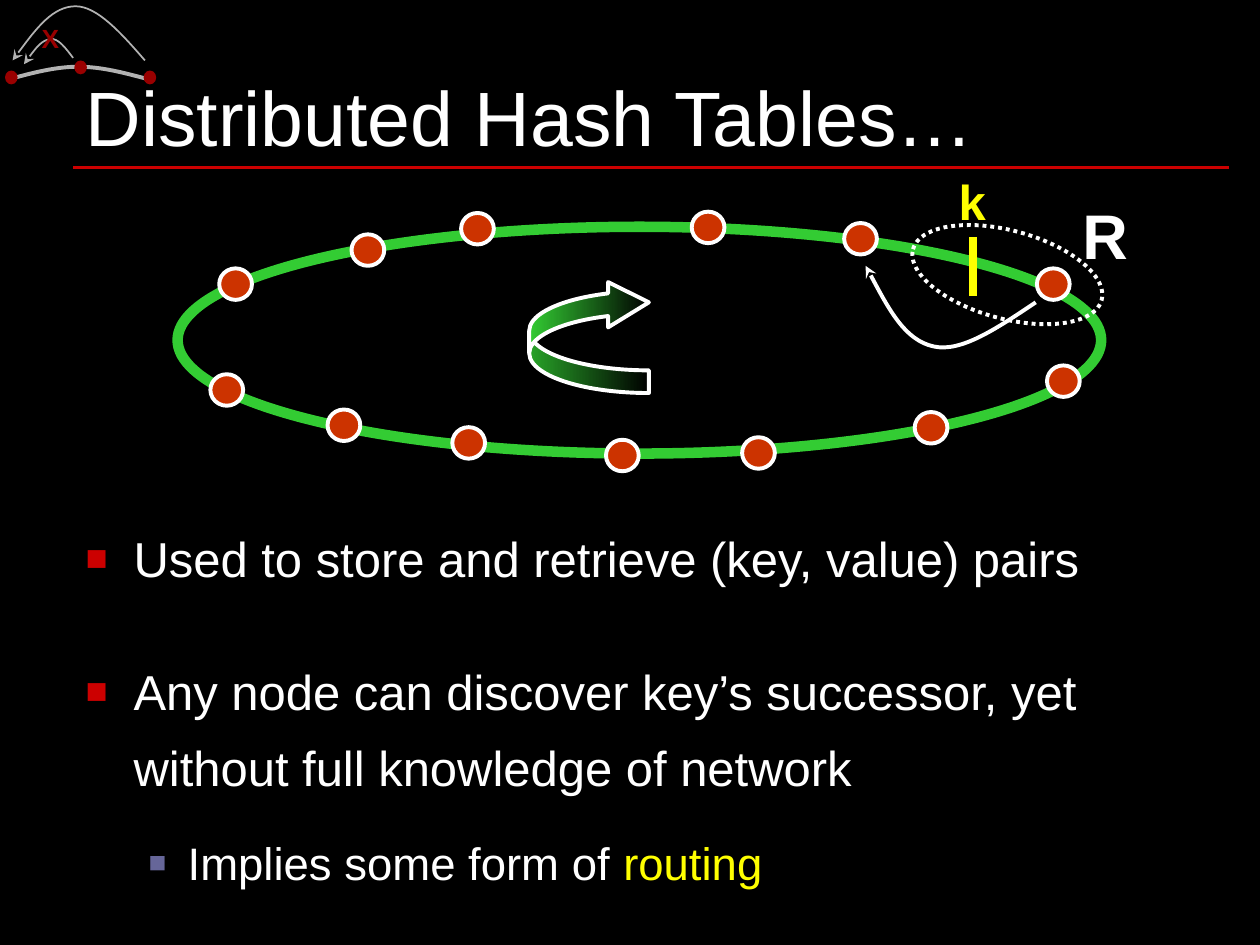
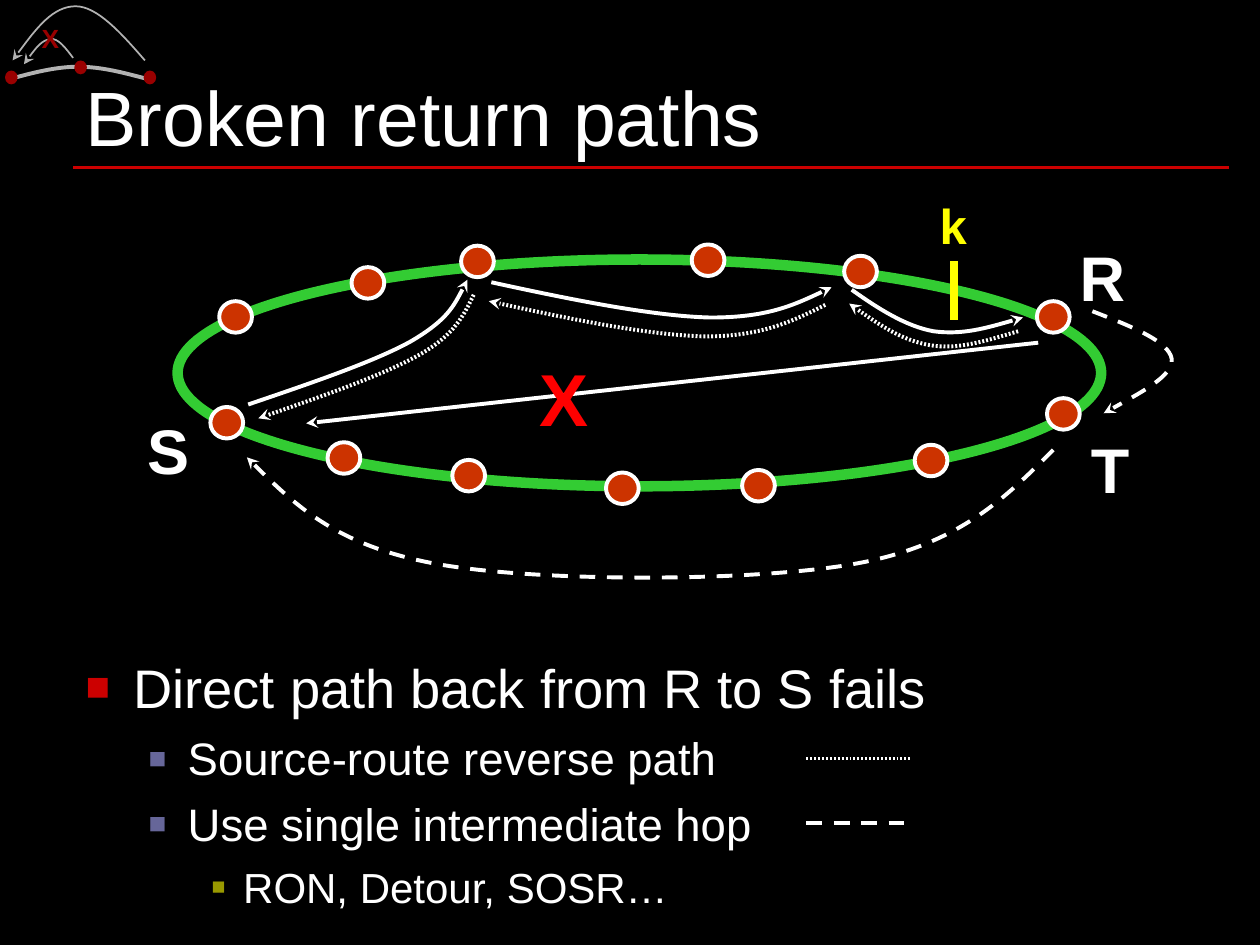
from dataclasses import dataclass
from typing import Any, Optional

from lxml import etree
from pptx import Presentation
from pptx.dml.color import RGBColor
from pptx.enum.dml import MSO_LINE
from pptx.enum.shapes import MSO_CONNECTOR, MSO_SHAPE
from pptx.enum.text import MSO_ANCHOR, MSO_AUTO_SIZE, PP_ALIGN
from pptx.oxml.ns import qn
from pptx.util import Inches, Pt

OVAL, ARROW = MSO_SHAPE.OVAL, MSO_SHAPE.CURVED_RIGHT_ARROW
STRAIGHT = MSO_CONNECTOR.STRAIGHT
DOT, DASH = MSO_LINE.ROUND_DOT, MSO_LINE.DASH
FINE = "fine"
LEFT, CENTER = PP_ALIGN.LEFT, PP_ALIGN.CENTER
BOTTOM = MSO_ANCHOR.BOTTOM
FIXED, GROW = MSO_AUTO_SIZE.NONE, MSO_AUTO_SIZE.SHAPE_TO_FIT_TEXT

Point = tuple[float, float]
Box = tuple[float, float, float, float]


@dataclass(frozen=True)
class Theme:
    font: str = "Arial"
    black: str = "000000"
    white: str = "FFFFFF"
    rule: str = "CC0000"
    slate: str = "666699"
    olive: str = "999900"
    gray: str = "B2B2B2"
    dark: str = "990000"
    green: str = "33CC33"
    node: str = "CC3300"
    key: str = "FFFF00"
    fail: str = "FF0000"
    title: int = 44
    lead: int = 31
    point: int = 28
    sub: int = 26
    detail: int = 24
    cross: int = 42
    name: int = 36
    badge: int = 15


T = Theme()


@dataclass(frozen=True)
class Stroke:
    color: str = T.white
    width: float = 2.25
    dash: Any = None
    arrow: bool = False


@dataclass(frozen=True)
class Tier:
    """Indent and bullet of one list level."""
    left: float
    hang: float
    color: str
    percent: int


@dataclass(frozen=True)
class Item:
    text: str
    size: int
    level: int = 0
    before: float = 6.5
    spacing: float = 1.0
    key: str = ""


@dataclass(frozen=True)
class Label:
    text: str
    box: Box
    size: int = T.name
    color: str = T.white


TIERS = (
    Tier(0.38, 0.38, T.rule, 75),
    Tier(0.81, 0.31, T.slate, 65),
    Tier(1.25, 0.25, T.olive, 55),
)
HOP = Stroke(arrow=True)
BACK = Stroke(dash=FINE, arrow=True)
DETOUR = Stroke(dash=DASH, arrow=True)
NODES = (
    (2.6, 3.25), (2.79, 1.86), (3.66, 1.69), (6.7, 1.77), (5.49, 1.68),
    (8.23, 2.13), (1.74, 2.13), (5.89, 3.47), (8.31, 2.9), (7.26, 3.27),
    (4.81, 3.49), (3.59, 3.39), (1.67, 2.97),
)


def rgb(color: str) -> RGBColor:
    return RGBColor.from_string(color)


def add(parent: Any, tag: str, **attrs: str) -> Any:
    return etree.SubElement(parent, qn(tag), attrs)


def ink(shape: Any, stroke: Stroke) -> None:
    """Style an outline or line."""
    shape.line.color.rgb = rgb(stroke.color)
    shape.line.width = Pt(stroke.width)
    ln = shape.element.spPr.find(qn("a:ln"))
    if stroke.dash == FINE:
        add(add(ln, "a:custDash"), "a:ds", d="50000", sp="50000")
    elif stroke.dash:
        shape.line.dash_style = stroke.dash
    if stroke.arrow:
        add(ln, "a:tailEnd", type="stealth")


def line(shapes: Any, start: Point, end: Point, stroke: Stroke) -> Any:
    ends = [Inches(v) for v in (*start, *end)]
    shape = shapes.add_connector(STRAIGHT, *ends)
    ink(shape, stroke)
    add(shape.element.spPr, "a:effectLst")
    return shape


def curve(shapes: Any, dots: list[Point], stroke: Stroke) -> Any:
    """Draw Bezier pieces: a start, then three points for each piece."""
    first, *rest = [(Inches(x), Inches(y)) for x, y in dots]
    pen = shapes.build_freeform(*first, scale=1.0)
    pen.add_line_segments(rest, close=False)
    shape = pen.convert_to_shape()
    track = next(shape.element.iter(qn("a:path")))
    steps = track.findall(qn("a:lnTo"))
    for i in range(0, len(steps), 3):
        piece = add(track, "a:cubicBezTo")
        for step in steps[i:i + 3]:
            piece.append(step[0])
            track.remove(step)
    shape.fill.background()
    shape.shadow.inherit = False
    ink(shape, stroke)
    return shape


def oval(shapes: Any, box: Box, fill: str = "",
         stroke: Optional[Stroke] = None) -> Any:
    shape = shapes.add_shape(OVAL, *map(Inches, box))
    shape.shadow.inherit = False
    if fill:
        shape.fill.solid()
        shape.fill.fore_color.rgb = rgb(fill)
    else:
        shape.fill.background()
    if stroke:
        ink(shape, stroke)
    else:
        shape.line.fill.background()
    return shape


def style(run: Any, size: int, color: str, bold: bool = False) -> None:
    run.font.name = T.font
    run.font.size = Pt(size)
    run.font.color.rgb = rgb(color)
    run.font.bold = bold


def label(shapes: Any, note: Label) -> Any:
    shape = shapes.add_textbox(*map(Inches, note.box))
    frame = shape.text_frame
    frame.text = note.text
    frame.word_wrap = False
    frame.auto_size = GROW
    para = frame.paragraphs[0]
    para.alignment = CENTER
    style(para.runs[0], note.size, note.color, True)
    return shape


def place(shape: Any, box: Box) -> None:
    shape.left, shape.top, shape.width, shape.height = map(Inches, box)


def head(slide: Any, text: str) -> None:
    shape = slide.shapes.title
    place(shape, (0.58, 0.08, 9.17, 1.25))
    frame = shape.text_frame
    frame.text = text
    frame.auto_size = FIXED
    frame.vertical_anchor = BOTTOM
    para = frame.paragraphs[0]
    para.alignment = LEFT
    para.line_spacing = 0.8
    style(para.runs[0], T.title, T.white)


def body(slide: Any, top: float, height: float, items: list[Item]) -> None:
    shape = slide.placeholders[1]
    place(shape, (0.58, top, 9.17, height))
    frame = shape.text_frame
    frame.text = "\n".join(item.text for item in items)
    frame.auto_size = FIXED
    for para, item in zip(frame.paragraphs, items):
        tier = TIERS[item.level]
        para.level = item.level
        para.line_spacing = item.spacing
        para.space_before = Pt(item.before)
        style(para.runs[0], item.size, T.white)
        if item.key:
            run = para.add_run()
            run.text = item.key
            style(run, item.size, T.key)
        props = para._p.get_or_add_pPr()
        props.set("marL", str(Inches(tier.left)))
        props.set("indent", str(-Inches(tier.hang)))
        add(add(props, "a:buClr"), "a:srgbClr", val=tier.color)
        add(props, "a:buSzPct", val=str(tier.percent * 1000))
        add(props, "a:buFont", typeface=T.font)
        add(props, "a:buChar", char="■")


def frame_marks(shapes: Any) -> list[Any]:
    """Draw the title rule and the corner sketch."""
    thin = Stroke(T.gray, 1, arrow=True)
    marks = [
        line(shapes, (0.58, 1.33), (9.75, 1.33), Stroke(T.rule, 2)),
        curve(shapes, [(0.07, 0.63), (0.25, 0.58), (0.44, 0.53), (0.62, 0.53),
                       (0.81, 0.53), (0.99, 0.58), (1.18, 0.63)],
              Stroke(T.gray)),
    ]
    for x, y in ((0.04, 0.56), (1.14, 0.56), (0.59, 0.48)):
        marks.append(oval(shapes, (x, y, 0.1, 0.11), T.dark))
    marks += [
        curve(shapes, [(1.15, 0.48), (0.96, 0.26), (0.77, 0.05), (0.6, 0.05),
                       (0.42, 0.05), (0.26, 0.26), (0.1, 0.48)], thin),
        curve(shapes, [(0.58, 0.46), (0.52, 0.38), (0.46, 0.3), (0.4, 0.31),
                       (0.33, 0.32), (0.26, 0.41), (0.19, 0.51)], thin),
        label(shapes, Label("X", (0.23, 0.13, 0.34, 0.35), T.badge, T.dark)),
    ]
    return marks


def ring(shapes: Any, drop: float = 0) -> None:
    oval(shapes, (1.41, 1.8 + drop, 7.33, 1.8), stroke=Stroke(T.green, 6))
    for x, y in NODES:
        oval(shapes, (x, y + drop, 0.26, 0.25), T.node, Stroke())


def key_mark(shapes: Any, x: float, top: float) -> None:
    line(shapes, (x, top), (x, top + 0.47), Stroke(T.key, 4.5))
    box = (x - 0.21, top - 0.57, 0.41, 0.57)
    label(shapes, Label("k", box, T.point, T.key))


def turn(shapes: Any) -> None:
    """Draw the clockwise arrow inside the ring."""
    shape = shapes.add_shape(ARROW, *map(Inches, (4.2, 2.22, 0.95, 0.9)))
    shape.shadow.inherit = False
    shape.element.spPr.find(qn("a:xfrm")).set("flipV", "1")
    for i, ratio in enumerate((0.2, 0.4, 0.36)):
        shape.adjustments[i] = ratio
    shape.fill.gradient()
    shape.fill.gradient_angle = 0
    for stop, color in zip(shape.fill.gradient_stops, (T.green, T.black)):
        stop.color.rgb = rgb(color)
    ink(shape, Stroke())


def tables(slide: Any) -> None:
    shapes = slide.shapes
    head(slide, "Distributed Hash Tables…")
    body(slide, 4.1, 3.14, [
        Item("Used to store and retrieve (key, value) pairs", T.point,
             before=7, spacing=1.1),
        Item("Any node can discover key’s successor, yet without full "
             "knowledge of network", T.point, before=32, spacing=1.3),
        Item("Implies some form of ", T.sub, 1, spacing=1.5, key="routing"),
    ])
    ring(shapes)
    key_mark(shapes, 7.72, 1.88)
    zone = oval(shapes, (7.22, 1.83, 1.55, 0.7), stroke=Stroke(dash=DOT))
    zone.rotation = 15.1
    curve(shapes, [(8.22, 2.4), (7.92, 2.6), (7.63, 2.8), (7.41, 2.75),
                   (7.18, 2.7), (7.03, 2.41), (6.87, 2.11)], HOP)
    turn(shapes)
    label(shapes, Label("R", (8.49, 1.51, 0.56, 0.7)))


def paths(slide: Any) -> None:
    shapes = slide.shapes
    head(slide, "Broken return paths")
    body(slide, 5.14, 2.31, [
        Item("Direct path back from R to S fails", T.lead, before=7.7),
        Item("Source-route reverse path", T.sub, 1),
        Item("Use single intermediate hop", T.sub, 1),
        Item("RON, Detour, SOSR…", T.detail, 2, before=6),
    ])
    ring(shapes.add_group_shape().shapes, 0.26)
    there = [
        [(3.9, 2.24), (4.54, 2.38), (5.19, 2.51), (5.64, 2.52),
         (6.09, 2.52), (6.35, 2.4), (6.6, 2.28)],
        [(6.76, 2.3), (6.97, 2.45), (7.19, 2.59), (7.41, 2.63),
         (7.64, 2.66), (7.88, 2.59), (8.12, 2.52)],
        [(1.97, 3.21), (2.47, 3.04), (2.97, 2.87), (3.26, 2.71),
         (3.55, 2.54), (3.63, 2.38), (3.71, 2.22)],
    ]
    home = [
        [(6.55, 2.42), (6.29, 2.55), (6.04, 2.67), (5.6, 2.67),
         (5.15, 2.66), (4.51, 2.53), (3.88, 2.39)],
        [(8.08, 2.63), (7.84, 2.7), (7.61, 2.78), (7.38, 2.74),
         (7.16, 2.7), (6.95, 2.56), (6.74, 2.41)],
        [(3.76, 2.34), (3.68, 2.5), (3.61, 2.66), (3.32, 2.82),
         (3.03, 2.98), (2.54, 3.15), (2.05, 3.32)],
    ]
    for hops, stroke in ((there, HOP), (home, BACK)):
        group = shapes.add_group_shape().shapes
        for dots in hops:
            curve(group, dots, stroke)
    line(shapes, (8.24, 2.72), (2.43, 3.36), HOP)
    for note in (
        Label("R", (8.47, 1.84, 0.56, 0.7)),
        Label("S", (1.07, 3.22, 0.53, 0.7)),
        Label("T", (8.56, 3.37, 0.5, 0.7)),
        Label("X", (4.18, 2.75, 0.59, 0.8), T.cross, T.fail),
    ):
        label(shapes, note)
    curve(shapes, [(8.67, 2.47), (8.98, 2.59), (9.28, 2.71), (9.3, 2.85),
                   (9.31, 2.98), (9.03, 3.13), (8.76, 3.28)], DETOUR)
    curve(shapes, [(8.36, 3.57), (7.99, 3.94), (7.62, 4.32), (6.81, 4.47),
                   (6, 4.62), (4.3, 4.62), (3.49, 4.48),
                   (2.69, 4.34), (2.32, 3.99), (1.96, 3.63)], DETOUR)
    for y, dash in ((6.02, FINE), (6.53, DASH)):
        line(shapes, (6.4, y), (7.23, y), Stroke(dash=dash))
    key_mark(shapes, 7.57, 2.07)


def main() -> None:
    deck = Presentation()
    deck.slide_width, deck.slide_height = Inches(10), Inches(7.5)
    back = deck.slide_master.background.fill
    back.solid()
    back.fore_color.rgb = rgb(T.black)
    layout = deck.slide_layouts[1]
    for spare in list(layout.placeholders)[2:]:
        spare.element.getparent().remove(spare.element)
    first, second = [deck.slides.add_slide(layout) for _ in range(2)]
    for mark in frame_marks(first.shapes):
        layout.shapes.element.append(mark.element)
    tables(first)
    paths(second)
    deck.save("out.pptx")


if __name__ == "__main__":
    main()
